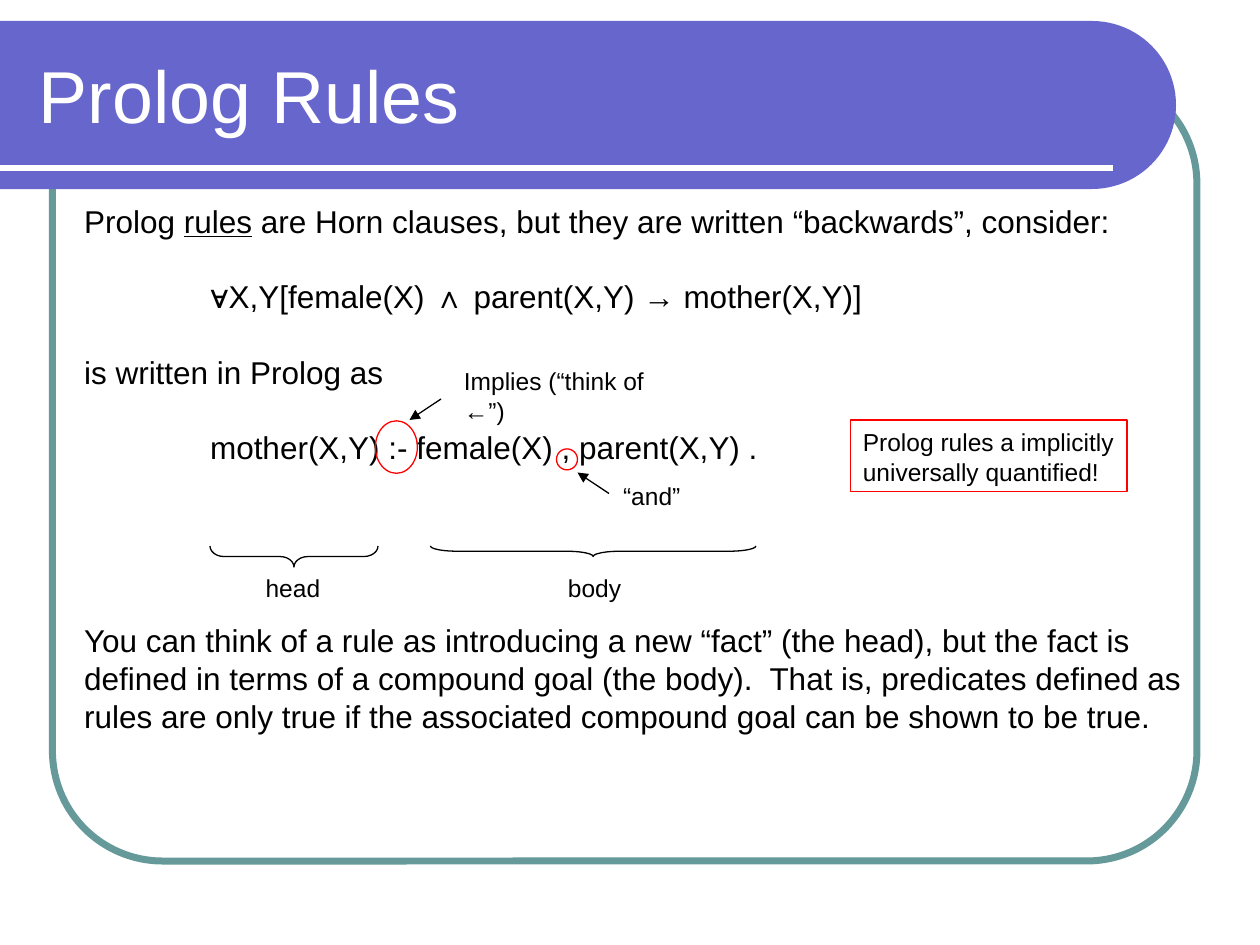
"""Build the "Prolog Rules" slide with its annotated rule example."""
from lxml import etree
from pptx import Presentation
from pptx.dml.color import RGBColor
from pptx.enum.shapes import MSO_CONNECTOR, MSO_SHAPE
from pptx.enum.text import MSO_ANCHOR, MSO_AUTO_SIZE, PP_ALIGN
from pptx.oxml.ns import qn
from pptx.util import Pt

BLACK = RGBColor(0x00, 0x00, 0x00)
WHITE = RGBColor(0xFF, 0xFF, 0xFF)
RED = RGBColor(0xFF, 0x00, 0x00)
TEAL = RGBColor(0x66, 0x99, 0x99)
VIOLET = RGBColor(0x66, 0x66, 0xCC)
STRAIGHT = MSO_CONNECTOR.STRAIGHT
RECTANGLE, OVAL, BRACE = MSO_SHAPE.RECTANGLE, MSO_SHAPE.OVAL, MSO_SHAPE.LEFT_BRACE
ROUNDED, HALF_ROUNDED = MSO_SHAPE.ROUNDED_RECTANGLE, MSO_SHAPE.ROUND_2_SAME_RECTANGLE
TOP, MIDDLE, LEFT = MSO_ANCHOR.TOP, MSO_ANCHOR.MIDDLE, PP_ALIGN.LEFT
NO_AUTOFIT = MSO_AUTO_SIZE.NONE
FONT = "Arial"
LEADING = {14: 17.1, 18: 21.6}

deck = Presentation()
deck.slide_width, deck.slide_height = Pt(720), Pt(540)
page = deck.slides.add_slide(deck.slide_layouts[5])


def add_outline(kind, left, top, width, height, color, weight=0.75):
    shape = page.shapes.add_shape(kind, Pt(left), Pt(top), Pt(width), Pt(height))
    shape.shadow.inherit = False
    shape.fill.background()
    shape.line.color.rgb = color
    shape.line.width = Pt(weight)
    return shape


def write(box, paragraphs, size, gap=0):
    frame = box.text_frame
    frame.word_wrap = True
    frame.vertical_anchor = TOP
    frame.text = "\n".join(paragraphs)
    for number, para in enumerate(frame.paragraphs):
        para.alignment = LEFT
        para.line_spacing = Pt(LEADING[size])
        para.space_before = Pt(gap if number else 0)
        para.font.name, para.font.size = FONT, Pt(size)
        para.font.color.rgb = BLACK
        if para.text.startswith("\t"):
            tabs = etree.Element(qn("a:tabLst"))
            etree.SubElement(tabs, qn("a:tab"), pos=str(Pt(72)), algn="l")
            para._p.pPr.find(qn("a:defRPr")).addprevious(tabs)


frame_shape = add_outline(ROUNDED, 30, 42, 654, 450, TEAL, 4)
frame_shape.adjustments[0] = 0.14

banner = add_outline(HALF_ROUNDED, 288, -276, 96, 672, VIOLET)
banner.line.fill.background()
banner.fill.solid()
banner.fill.fore_color.rgb = VIOLET
banner.adjustments[0] = 0.5
banner.rotation = 90

title = page.shapes.title
title.left, title.top, title.width, title.height = Pt(15), Pt(18), Pt(631), Pt(72)
title.text_frame.text = "Prolog Rules"
title.text_frame.auto_size = NO_AUTOFIT
title.text_frame.vertical_anchor = MIDDLE
heading = title.text_frame.paragraphs[0]
heading.alignment = LEFT
heading.font.name, heading.font.size = FONT, Pt(42)
heading.font.color.rgb = WHITE
title.element.getparent().append(title.element)

rule_lines = [
    "",
    "\t∀X,Y[female(X) ∧ parent(X,Y) → mother(X,Y)]",
    "is written in Prolog as",
    "\tmother(X,Y) :- female(X) , parent(X,Y) .",
]
explanation = [
    "You can think of a rule as introducing a new “fact” (the head), but the fact is \v"
    "defined in terms of a compound goal (the body).  That is, predicates defined as",
    "rules are only true if the associated compound goal can be shown to be true.",
]
text_boxes = [
    (41, 111.6, 620, 223, rule_lines, 18, LEADING[18]),
    (258, 205.5, 137, 44, ["Implies (“think of ←”)"], 14, 0),
    (349, 271, 55, 24.5, ["“and”"], 14, 0),
    (144.7, 323.5, 55, 24.5, ["head"], 14, 0),
    (317.5, 323.5, 55, 24.5, ["body"], 14, 0),
    (41, 351.4, 648, 94, explanation, 18, 0),
]
for left, top, width, height, paragraphs, size, gap in text_boxes:
    box = page.shapes.add_textbox(Pt(left), Pt(top), Pt(width), Pt(height))
    write(box, paragraphs, size, gap)
    if paragraphs is rule_lines:
        intro = box.text_frame.paragraphs[0]
        for words in ("Prolog ", "rules", " are Horn clauses, but they are written “backwards”, consider:"):
            span = intro.add_run()
            span.text = words
            span.font.underline = words == "rules"

note = add_outline(RECTANGLE, 486, 240, 158, 41, RED)
write(note, ["Prolog rules a implicitly\vuniversally quantified!"], 14)

add_outline(OVAL, 214.5, 240.5, 24, 30, RED)
add_outline(OVAL, 318, 256.5, 12, 12, RED)

for left, top, width, height, curve in ((162, 270, 12, 96, 0.67), (336, 222, 6, 186, 2.58)):
    brace = add_outline(BRACE, left, top, width, height, BLACK)
    brace.adjustments[0] = curve
    brace.rotation = 270

lines = [
    (0, 96, 636, 96, WHITE, 3, False),
    (252, 228, 234, 240, BLACK, 0.75, True),
    (348, 282, 330, 270, BLACK, 0.75, True),
]
for start_x, start_y, end_x, end_y, color, weight, arrow in lines:
    line = page.shapes.add_connector(STRAIGHT, Pt(start_x), Pt(start_y), Pt(end_x), Pt(end_y))
    line.line.color.rgb = color
    line.line.width = Pt(weight)
    if arrow:
        etree.SubElement(line.line._get_or_add_ln(), qn("a:tailEnd"), type="triangle")
    etree.SubElement(line.element.spPr, qn("a:effectLst"))

deck.save("out.pptx")
